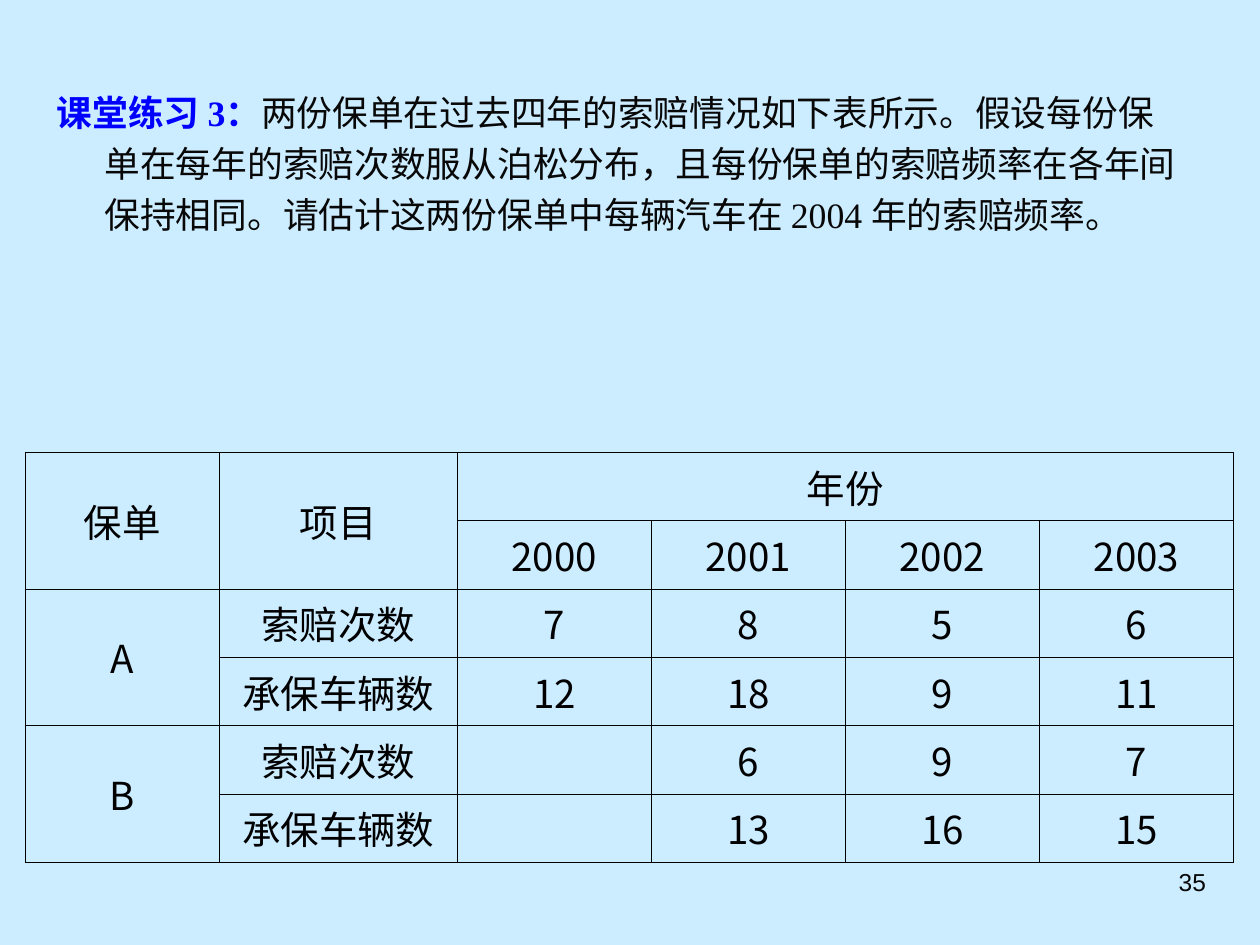
from lxml import etree
from pptx import Presentation
from pptx.dml.color import RGBColor
from pptx.enum.text import MSO_ANCHOR, MSO_AUTO_SIZE, PP_ALIGN
from pptx.oxml.ns import qn
from pptx.util import Inches, Pt

CENTER, RIGHT = PP_ALIGN.CENTER, PP_ALIGN.RIGHT
MIDDLE, TOP = MSO_ANCHOR.MIDDLE, MSO_ANCHOR.TOP
NO_AUTOFIT = MSO_AUTO_SIZE.NONE

SKY = RGBColor(0xCC, 0xEC, 0xFF)
BLUE = RGBColor(0x00, 0x00, 0xFF)
INK = RGBColor(0x08, 0x08, 0x08)
BLACK = RGBColor(0x00, 0x00, 0x00)

EXERCISE = [
    ("课堂练习 3：", BLUE, True),
    ("两份保单在过去四年的索赔情况如下表所示。假设每份保单在每年的索赔次数服从泊松分布，"
     "且每份保单的索赔频率在各年间保持相同。请估计这两份保单中每辆汽车在 2004 年的索赔频率。",
     INK, False),
]
CLAIMS = [
    ["保单", "项目", "年份", "", "", ""],
    ["", "", "2000", "2001", "2002", "2003"],
    ["A", "索赔次数", "7", "8", "5", "6"],
    ["", "承保车辆数", "12", "18", "9", "11"],
    ["B", "索赔次数", "", "6", "9", "7"],
    ["", "承保车辆数", "", "13", "16", "15"],
]
MERGES = [((0, 0), (1, 0)), ((0, 1), (1, 1)), ((0, 2), (0, 5)),
          ((2, 0), (3, 0)), ((4, 0), (5, 0))]
COLUMN_WIDTHS = [1.54, 1.89, 1.54, 1.54, 1.54, 1.54]
ROW_HEIGHT = 0.41
PAGE_NUMBER = "35"


def style(font, name, size, color, bold=False):
    font.name, font.size, font.bold = name, Pt(size), bold
    font.color.rgb = color


def add_borders(cell):
    properties = cell._tc.get_or_add_tcPr()
    for position, side in enumerate(("lnL", "lnR", "lnT", "lnB")):
        line = etree.Element(qn(f"a:{side}"), w=str(Pt(0.23)))
        fill = etree.SubElement(line, qn("a:solidFill"))
        etree.SubElement(fill, qn("a:srgbClr"), val=str(BLACK))
        properties.insert(position, line)


def add_exercise(slide):
    body = slide.placeholders[1]
    body.left, body.top = Inches(0.35), Inches(0.6)
    body.width, body.height = Inches(9.13), Inches(1.26)
    frame = body.text_frame
    frame.auto_size, frame.vertical_anchor = NO_AUTOFIT, TOP
    paragraph = frame.paragraphs[0]
    properties = paragraph._p.get_or_add_pPr()
    properties.set("marL", str(Inches(0.38)))
    properties.set("indent", str(Inches(-0.38)))
    etree.SubElement(properties, qn("a:buNone"))
    paragraph.line_spacing, paragraph.space_before = 1.2, Pt(0)
    for text, color, bold in EXERCISE:
        run = paragraph.add_run()
        run.text = text
        style(run.font, "Times New Roman", 20.4, color, bold)


def add_claims_table(slide):
    table = slide.shapes.add_table(
        len(CLAIMS), len(COLUMN_WIDTHS), Inches(0.2), Inches(3.59),
        Inches(sum(COLUMN_WIDTHS)), Inches(ROW_HEIGHT * len(CLAIMS))).table
    table.first_row = table.horz_banding = False
    for column, width in zip(table.columns, COLUMN_WIDTHS):
        column.width = Inches(width)
    for r, values in enumerate(CLAIMS):
        table.rows[r].height = Inches(ROW_HEIGHT)
        for c, value in enumerate(values):
            cell = table.cell(r, c)
            cell.fill.background()
            add_borders(cell)
            cell.vertical_anchor = MIDDLE
            cell.margin_left = cell.margin_right = Inches(0.02)
            cell.margin_top = cell.margin_bottom = Inches(0.05)
            paragraph = cell.text_frame.paragraphs[0]
            paragraph.text, paragraph.alignment = value, CENTER
            style(paragraph.font, "Noto Sans CJK SC", 22, BLACK)
            for run in paragraph.runs:
                style(run.font, "Noto Sans CJK SC", 22, BLACK)
    for first, last in MERGES:
        table.cell(*first).merge(table.cell(*last))


def add_page_number(slide):
    frame = slide.shapes.add_textbox(
        Inches(7.17), Inches(6.83), Inches(2.5), Inches(0.52)).text_frame
    frame.word_wrap = True
    paragraph = frame.paragraphs[0]
    paragraph.text, paragraph.alignment = PAGE_NUMBER, RIGHT
    style(paragraph.runs[0].font, "Arial", 14, INK)


def main():
    deck = Presentation()
    deck.slide_width, deck.slide_height = Inches(10), Inches(7.5)
    slide = deck.slides.add_slide(deck.slide_layouts[1])
    slide.background.fill.solid()
    slide.background.fill.fore_color.rgb = SKY
    title = slide.shapes.title
    title.element.getparent().remove(title.element)
    add_exercise(slide)
    add_claims_table(slide)
    add_page_number(slide)
    deck.save("out.pptx")


if __name__ == "__main__":
    main()
